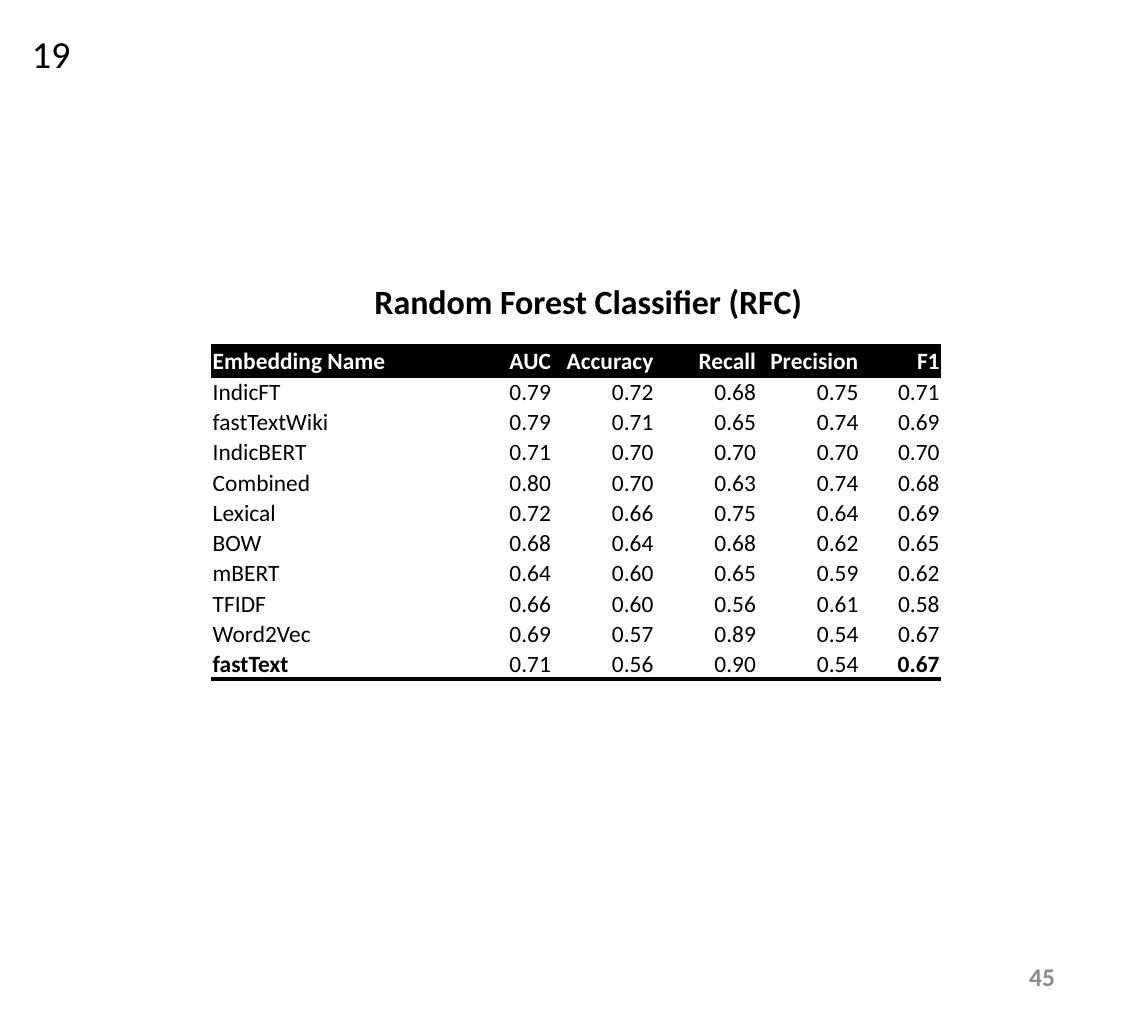
import dataclasses
import pptx
import pptx.util
import pptx.dml.color
import pptx.enum.text
import pptx.oxml
import pptx.oxml.ns

Inches = pptx.util.Inches
Align = pptx.enum.text.PP_ALIGN
Anchor = pptx.enum.text.MSO_ANCHOR


@dataclasses.dataclass(frozen=True)
class Theme:
    font: str = "Calibri"
    ink: str = "000000"
    paper: str = "FFFFFF"
    muted: str = "8C8C8C"
    heading_size: int = 16
    number_size: int = 18
    page_size: int = 12
    table_size: int = 11
    rule_width: int = 2
    plain_style: str = "{2D5ABB26-0587-4C30-8999-92F81FD0307C}"


THEME = Theme()
HEADER = ("Embedding Name", "AUC", "Accuracy", "Recall", "Precision", "F1")
COLUMN_WIDTHS = (1.56, 0.67, 0.67, 0.67, 0.67, 0.53)
SCORES = (
    ("IndicFT", 0.79, 0.72, 0.68, 0.75, 0.71),
    ("fastTextWiki", 0.79, 0.71, 0.65, 0.74, 0.69),
    ("IndicBERT", 0.71, 0.70, 0.70, 0.70, 0.70),
    ("Combined", 0.80, 0.70, 0.63, 0.74, 0.68),
    ("Lexical", 0.72, 0.66, 0.75, 0.64, 0.69),
    ("BOW", 0.68, 0.64, 0.68, 0.62, 0.65),
    ("mBERT", 0.64, 0.60, 0.65, 0.59, 0.62),
    ("TFIDF", 0.66, 0.60, 0.56, 0.61, 0.58),
    ("Word2Vec", 0.69, 0.57, 0.89, 0.54, 0.67),
    ("fastText", 0.71, 0.56, 0.90, 0.54, 0.67),
)


def rgb(color):
    return pptx.dml.color.RGBColor.from_string(color)


def write(frame, text, size, color, bold=False, align=Align.LEFT):
    frame.text = text
    paragraph = frame.paragraphs[0]
    paragraph.alignment = align
    font = paragraph.font
    font.name, font.size, font.bold = THEME.font, pptx.util.Pt(size), bold
    font.color.rgb = rgb(color)


def place_heading(slide, box):
    heading = slide.shapes.title
    heading.left, heading.top, heading.width, heading.height = map(Inches, box)
    frame = heading.text_frame
    frame.auto_size = pptx.enum.text.MSO_AUTO_SIZE.NONE
    frame.vertical_anchor = Anchor.TOP
    write(frame, "Random Forest Classifier (RFC)", THEME.heading_size, THEME.ink, True, Align.CENTER)


def place_label(slide, box, text, size, color, wrap=True, anchor=Anchor.TOP, **style):
    frame = slide.shapes.add_textbox(*map(Inches, box)).text_frame
    frame.word_wrap = wrap
    frame.vertical_anchor = anchor
    write(frame, text, size, color, **style)


def rule_cell(cell, sides):
    properties = cell._tc.get_or_add_tcPr()
    for position, side in enumerate(sides):
        properties.insert(position, pptx.oxml.parse_xml(
            f'<a:ln{side} {pptx.oxml.ns.nsdecls("a")} w="{pptx.util.Pt(THEME.rule_width)}">'
            f'<a:solidFill><a:srgbClr val="{THEME.ink}"/></a:solidFill></a:ln{side}>'))


def place_scores(slide, box):
    rows = (HEADER,) + SCORES
    table = slide.shapes.add_table(len(rows), len(HEADER), *map(Inches, box)).table
    table.horz_banding = False
    style = table._tbl.tblPr.find(pptx.oxml.ns.qn("a:tableStyleId"))
    style.text = THEME.plain_style
    for column, width in zip(table.columns, COLUMN_WIDTHS):
        column.width = Inches(width)
    last_row, last_column = len(rows) - 1, len(HEADER) - 1
    for r, values in enumerate(rows):
        table.rows[r].height = Inches(box[3] / len(rows))
        header = r == 0
        for c, value in enumerate(values):
            cell = table.cell(r, c)
            cell.margin_left = cell.margin_right = cell.margin_top = Inches(0.01)
            cell.margin_bottom = 0
            cell.vertical_anchor = Anchor.BOTTOM
            cell.fill.solid()
            cell.fill.fore_color.rgb = rgb(THEME.ink if header else THEME.paper)
            write(cell.text_frame,
                  value if isinstance(value, str) else f"{value:.2f}",
                  THEME.table_size,
                  THEME.paper if header else THEME.ink,
                  header or (r == last_row and c in (0, last_column)),
                  Align.RIGHT if c else Align.LEFT)
            rule_cell(cell, "TB" if header else "B" if r == last_row else "")


def build_results_slide(deck):
    slide = deck.slides.add_slide(deck.slide_layouts[5])
    place_heading(slide, (1.79, 1.78, 4.11, 0.37))
    place_label(slide, (5.3, 6.2, 1.69, 0.36), "45", THEME.page_size, THEME.muted,
                anchor=Anchor.MIDDLE, bold=True, align=Align.RIGHT)
    place_label(slide, (0.11, 0.15, 0.46, 0.4), "19", THEME.number_size, THEME.ink, wrap=False)
    place_scores(slide, (1.38, 2.26, sum(COLUMN_WIDTHS), 2.18))


def main():
    deck = pptx.Presentation()
    deck.slide_width, deck.slide_height = Inches(7.5), Inches(6.69)
    build_results_slide(deck)
    deck.save("out.pptx")


if __name__ == "__main__":
    main()
